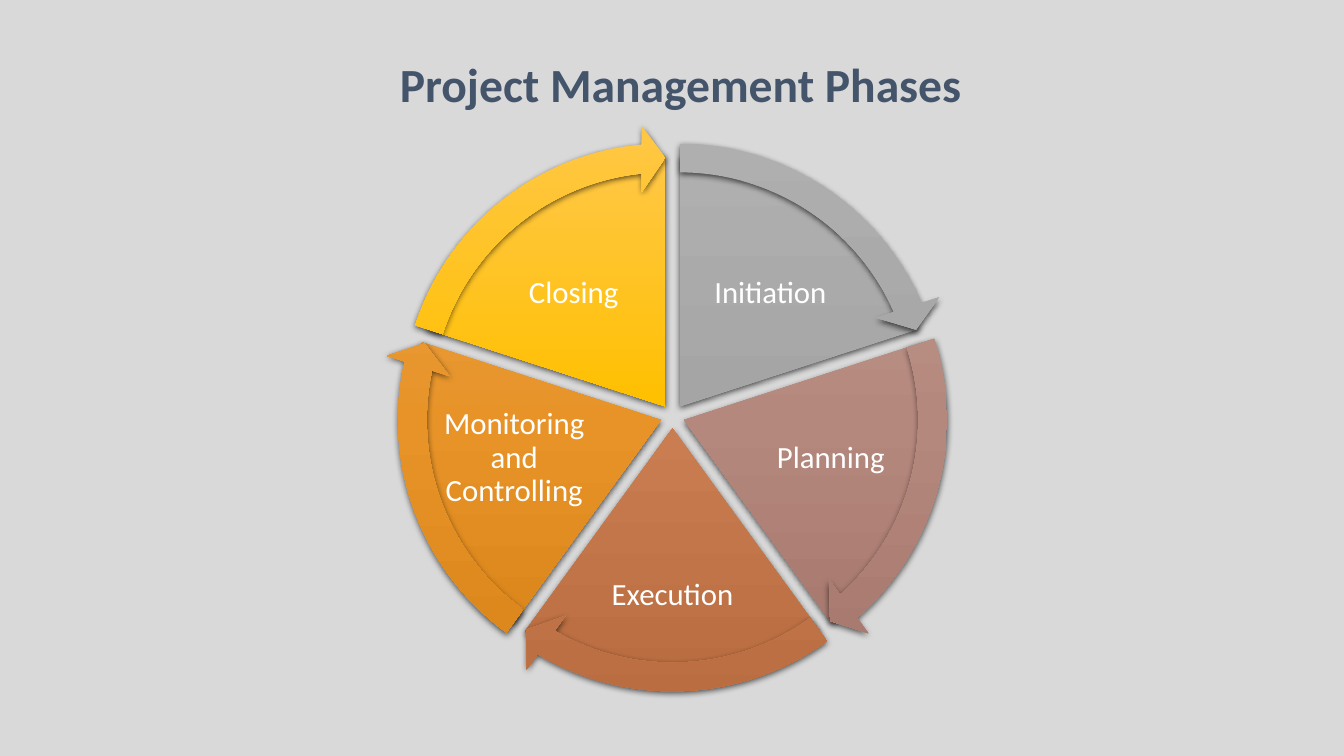
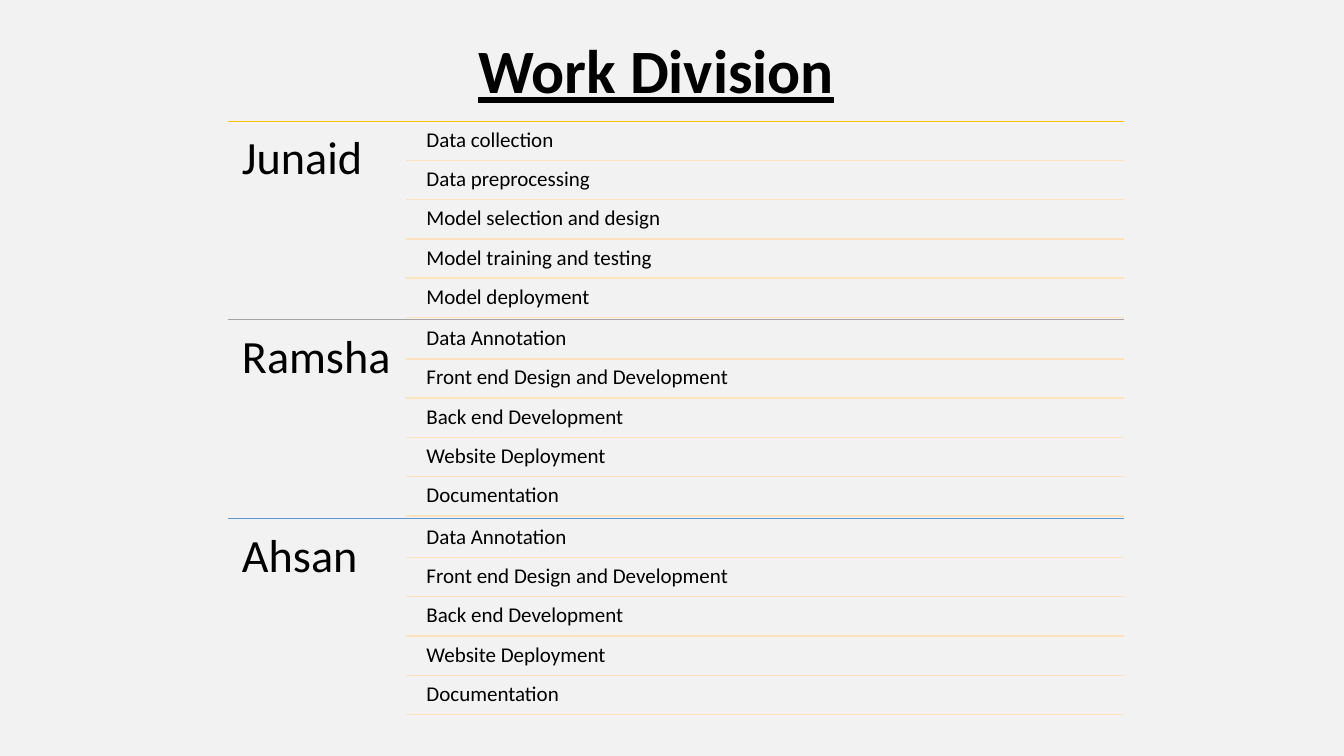
from dataclasses import dataclass
from math import cos, radians, sin

from lxml.etree import SubElement
from pptx import Presentation
from pptx.dml.color import RGBColor
from pptx.enum.shapes import MSO_CONNECTOR, MSO_SHAPE
from pptx.enum.text import MSO_ANCHOR, PP_ALIGN
from pptx.oxml.ns import qn
from pptx.util import Inches, Pt


@dataclass(frozen=True)
class Theme:
    font: str = "Calibri"
    wheel_background: str = "D9D9D9"
    list_background: str = "F2F2F2"
    wheel_title: str = "44546A"
    white: str = "FFFFFF"
    black: str = "000000"
    task_line: str = "FFE2BD"
    wheel_title_size: int = 34
    list_title_size: int = 44
    phase_size: int = 22
    member_size: int = 33
    task_size: int = 15


@dataclass(frozen=True)
class Box:
    left: float
    top: float
    width: float
    height: float

    def lengths(self) -> list:
        return [Inches(value) for value in (self.left, self.top, self.width, self.height)]


@dataclass(frozen=True)
class TextStyle:
    size: int
    color: str
    align: PP_ALIGN = PP_ALIGN.LEFT
    anchor: MSO_ANCHOR = MSO_ANCHOR.TOP
    inset: float | None = None
    spacing: float = 0.9
    bold: bool = False
    underline: bool = False


@dataclass(frozen=True)
class Phase:
    name: str
    label: Box
    gradient: tuple[str, str, str]


@dataclass(frozen=True)
class Member:
    name: str
    line_color: str
    tasks: tuple[str, ...]


THEME = Theme()

PHASES = (
    Phase("Initiation", Box(6.84, 2.38, 1.6, 1.07), ("AFAFAF", "A5A5A5", "939393")),
    Phase("Planning", Box(7.5, 3.95, 1.48, 1.19), ("BD9A91", "B5887D", "A5766C")),
    Phase("Execution", Box(5.96, 5.26, 1.42, 1.3), ("CC8C68", "C97D50", "BA6D40")),
    Phase("Monitoring and Controlling", Box(4.36, 3.95, 1.48, 1.19),
          ("E9A24A", "E79328", "D98418")),
    Phase("Closing", Box(4.89, 2.38, 1.6, 1.07), ("FFC746", "FFC000", "E3AA00")),
)

WEB_TASKS = ("Data Annotation", "Front end Design and Development",
             "Back end Development", "Website Deployment", "Documentation")
MEMBERS = (
    Member("Junaid", "FFC000", ("Data collection", "Data preprocessing",
                                "Model selection and design",
                                "Model training and testing", "Model deployment")),
    Member("Ramsha", "A5A5A5", WEB_TASKS),
    Member("Ahsan", "5B9BD5", WEB_TASKS),
)

# Wheel geometry; a full turn is 216 in adjustment units
CENTER_X, CENTER_Y = 6.67, 4.13
PUSH_OUT = 0.12
PIE_SIZE, ARROW_SIZE = 4.98, 5.59
TURN = 216
HEAD_ANGLE = 3.28

# List geometry
LIST_LEFT, LIST_RIGHT, LIST_TOP = 2.26, 11.15, 1.2
TASK_LINE_LEFT, TASK_LEFT = 4.03, 4.17
MEMBER_STEP, TASK_STEP = 1.97, 0.39
TASK_HEIGHT, TASK_GAP = 0.37, 0.02


def add_slide(presentation, background: str):
    slide = presentation.slides.add_slide(presentation.slide_layouts[6])
    slide.background.fill.solid()
    slide.background.fill.fore_color.rgb = RGBColor.from_string(background)
    return slide


def add_text(slide, box: Box, text: str, style: TextStyle) -> None:
    frame = slide.shapes.add_textbox(*box.lengths()).text_frame
    frame.word_wrap = True
    frame.vertical_anchor = style.anchor
    if style.inset is not None:
        frame.margin_left = frame.margin_right = Inches(style.inset)
        frame.margin_top = frame.margin_bottom = Inches(style.inset)
    paragraph = frame.paragraphs[0]
    paragraph.text = text
    paragraph.alignment = style.align
    paragraph.line_spacing = style.spacing
    font = paragraph.font
    font.name, font.size = THEME.font, Pt(style.size)
    font.bold, font.underline = style.bold, style.underline
    font.color.rgb = RGBColor.from_string(style.color)


def add_rule(slide, left: float, right: float, y: float, color: str, width: float) -> None:
    line = slide.shapes.add_connector(
        MSO_CONNECTOR.STRAIGHT, Inches(left), Inches(y), Inches(right), Inches(y))
    line.line.color.rgb = RGBColor.from_string(color)
    line.line.width = Pt(width)
    SubElement(line._element.spPr, qn("a:effectLst"))


def add_color(parent, color: str):
    return SubElement(parent, qn("a:srgbClr"), val=color)


def add_wheel_part(slide, kind: MSO_SHAPE, index: int, size: float,
                   adjustments: tuple[float, ...]) -> None:
    """Draw a shape pushed out from the wheel centre along its phase's bisector."""
    bisector = radians(-54 + 360 / len(PHASES) * index)
    left = CENTER_X + PUSH_OUT * cos(bisector) - size / 2
    top = CENTER_Y + PUSH_OUT * sin(bisector) - size / 2
    shape = slide.shapes.add_shape(kind, *Box(left, top, size, size).lengths())
    for position, value in enumerate(adjustments):
        shape.adjustments[position] = value
    shape.line.fill.background()

    # Three-stop vertical gradient
    shape.fill.gradient()
    shape.fill.gradient_angle = 270
    properties = shape._element.spPr
    stops = properties.find(".//" + qn("a:gsLst"))
    for stop in list(stops):
        stops.remove(stop)
    for position, color in zip((0, 50000, 100000), PHASES[index].gradient):
        add_color(SubElement(stops, qn("a:gs"), pos=str(position)), color)

    # Soft shadow below
    shape.shadow.inherit = False
    shadow = SubElement(properties.find(qn("a:effectLst")), qn("a:outerShdw"),
                        blurRad=str(Pt(4.5)), dist=str(Pt(1.5)), dir="5400000",
                        algn="ctr", rotWithShape="0")
    SubElement(add_color(shadow, THEME.black), qn("a:alpha"), val="63000")


def build_phases(presentation) -> None:
    slide = add_slide(presentation, THEME.wheel_background)
    title = TextStyle(THEME.wheel_title_size, THEME.wheel_title, PP_ALIGN.CENTER,
                      spacing=1.0, bold=True)
    add_text(slide, Box(3.23, 0.5, 7.04, 0.67), "Project Management Phases", title)

    # Wedges and labels, then the arrows over them
    label = TextStyle(THEME.phase_size, THEME.white, PP_ALIGN.CENTER,
                      MSO_ANCHOR.MIDDLE, inset=0.03)
    step = TURN / len(PHASES)
    starts = [(162 + step * index) % TURN for index in range(len(PHASES))]
    for index, (phase, start) in enumerate(zip(PHASES, starts)):
        add_wheel_part(slide, MSO_SHAPE.PIE, index, PIE_SIZE,
                       (start, (start + step) % TURN))
        add_text(slide, phase.label, phase.name, label)
    for index, start in enumerate(starts):
        tip = (start + step - HEAD_ANGLE) % TURN
        add_wheel_part(slide, MSO_SHAPE.CIRCULAR_ARROW, index, ARROW_SIZE,
                       (0.051, HEAD_ANGLE, tip, start, 0.059))


def build_work_division(presentation) -> None:
    slide = add_slide(presentation, THEME.list_background)
    title = TextStyle(THEME.list_title_size, THEME.black, PP_ALIGN.CENTER,
                      MSO_ANCHOR.MIDDLE, bold=True, underline=True)
    add_text(slide, Box(1.51, 0.1, 10, 1.26), "Work Division", title)

    # One block per member, one ruled row per task
    member_style = TextStyle(THEME.member_size, THEME.black, inset=0.14)
    task_style = TextStyle(THEME.task_size, THEME.black, inset=0.06)
    for member_index, member in enumerate(MEMBERS):
        top = LIST_TOP + MEMBER_STEP * member_index
        add_rule(slide, LIST_LEFT, LIST_RIGHT, top, member.line_color, 0.5)
        add_text(slide, Box(LIST_LEFT, top, 1.78, MEMBER_STEP), member.name, member_style)
        for task_index, task in enumerate(member.tasks):
            task_top = top + TASK_GAP + TASK_STEP * task_index
            add_text(slide, Box(TASK_LEFT, task_top, LIST_RIGHT - TASK_LEFT, TASK_HEIGHT),
                     task, task_style)
            add_rule(slide, TASK_LINE_LEFT, LIST_RIGHT, task_top + TASK_HEIGHT,
                     THEME.task_line, 1)


def main() -> None:
    presentation = Presentation()
    presentation.slide_width, presentation.slide_height = Inches(13.33), Inches(7.5)
    build_phases(presentation)
    build_work_division(presentation)
    presentation.save("out.pptx")


if __name__ == "__main__":
    main()
